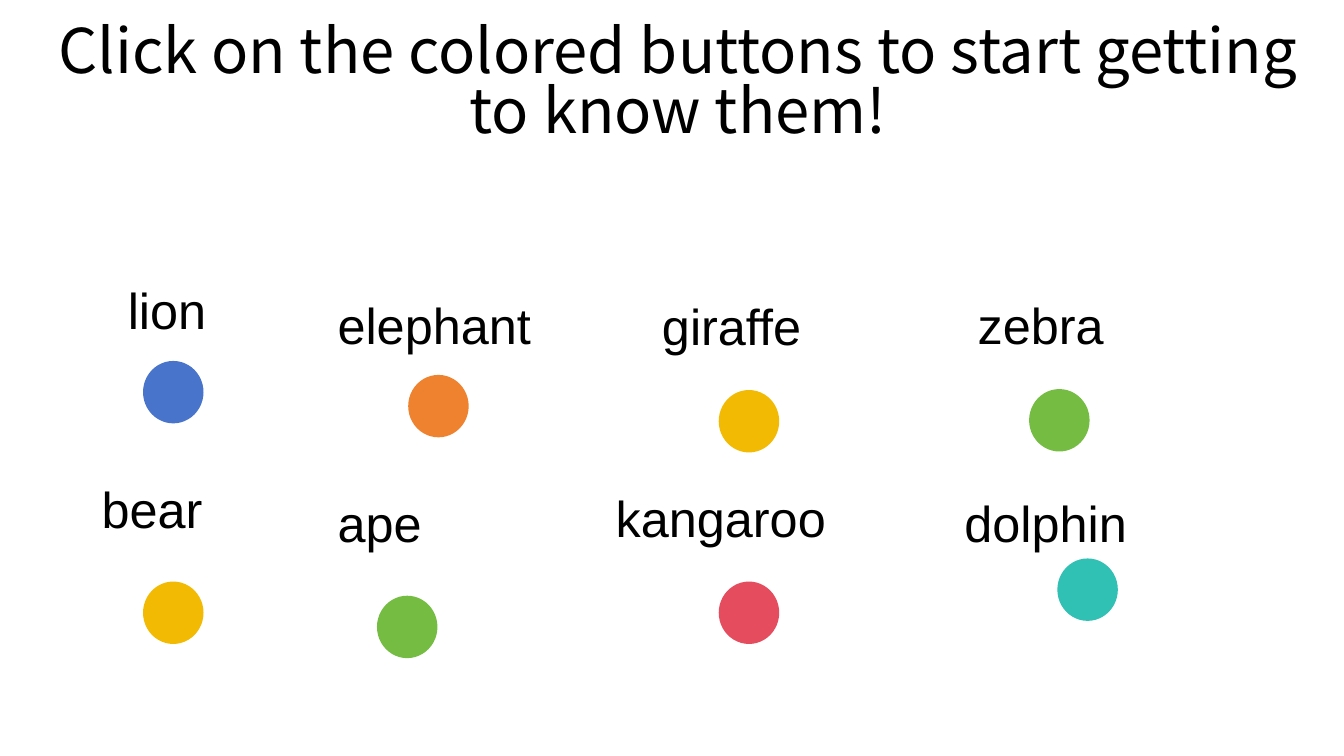
from pptx import Presentation
from pptx import util as u
from pptx.dml.color import RGBColor
from pptx.enum import shapes, text

# Content
TITLE = "Click on the colored buttons to start getting to know them!"

BLACK = RGBColor(0x00, 0x00, 0x00)
BLUE = RGBColor(0x48, 0x74, 0xCB)
ORANGE = RGBColor(0xEE, 0x82, 0x2F)
YELLOW = RGBColor(0xF2, 0xBA, 0x02)
GREEN = RGBColor(0x75, 0xBD, 0x42)
RED = RGBColor(0xE5, 0x4C, 0x5E)
TEAL = RGBColor(0x30, 0xC0, 0xB4)

# Animal, label (left, top, width), button (left, top), button colour
ANIMALS = [
    ("lion", (84.2, 195.8, 116.6), (102.2, 257.8), BLUE),
    ("elephant", (234, 206.6, 185.8), (291.6, 267.8), ORANGE),
    ("giraffe", (465.8, 207.4, 139), (513.4, 278.6), YELLOW),
    ("zebra", (691.2, 206.6, 152.6), (735.1, 277.9), GREEN),
    ("bear", (65.5, 337.7, 116.6), (102.2, 415.4), YELLOW),
    ("ape", (234, 347.8, 116.6), (269.3, 425.5), GREEN),
    ("kangaroo", (432.7, 344.2, 189.4), (513.4, 415.4), RED),
    ("dolphin", (681.8, 347.8, 188.6), (755.3, 398.9), TEAL),
]
LABEL_HEIGHT = 51.1
BUTTON_WIDTH, BUTTON_HEIGHT = 43.2, 44.6


def style_text(para, name, size):
    font = para.runs[0].font
    font.name, font.size, font.color.rgb = name, u.Pt(size), BLACK


def add_label(page, name, left, top, width):
    box = page.shapes.add_textbox(u.Pt(left), u.Pt(top), u.Pt(width), u.Pt(LABEL_HEIGHT))
    frame = box.text_frame
    frame.word_wrap = True
    frame.auto_size = text.MSO_AUTO_SIZE.SHAPE_TO_FIT_TEXT
    frame.text = name
    style_text(frame.paragraphs[0], "Arial", 36)


def add_button(page, left, top, colour):
    button = page.shapes.add_shape(
        shapes.MSO_SHAPE.OVAL, u.Pt(left), u.Pt(top), u.Pt(BUTTON_WIDTH), u.Pt(BUTTON_HEIGHT))
    button.shadow.inherit = False
    button.fill.solid()
    button.fill.fore_color.rgb = colour
    button.line.fill.background()


# Slide
deck = Presentation()
deck.slide_width, deck.slide_height = u.Pt(960), u.Pt(540)
page = deck.slides.add_slide(deck.slide_layouts[5])

# Title
title = page.shapes.title
title.left, title.top, title.width, title.height = u.Pt(15.8), u.Pt(0), u.Pt(937.4), u.Pt(121.7)
frame = title.text_frame
frame.text = TITLE
frame.word_wrap = True
frame.auto_size = text.MSO_AUTO_SIZE.NONE
frame.vertical_anchor = text.MSO_ANCHOR.MIDDLE
para = frame.paragraphs[0]
para.alignment = text.PP_ALIGN.CENTER
para.line_spacing = 0.82
style_text(para, "Noto Sans CJK SC", 44)

# Animals with their buttons
for name, label, button, colour in ANIMALS:
    add_label(page, name, *label)
    add_button(page, *button, colour)

deck.save("out.pptx")
